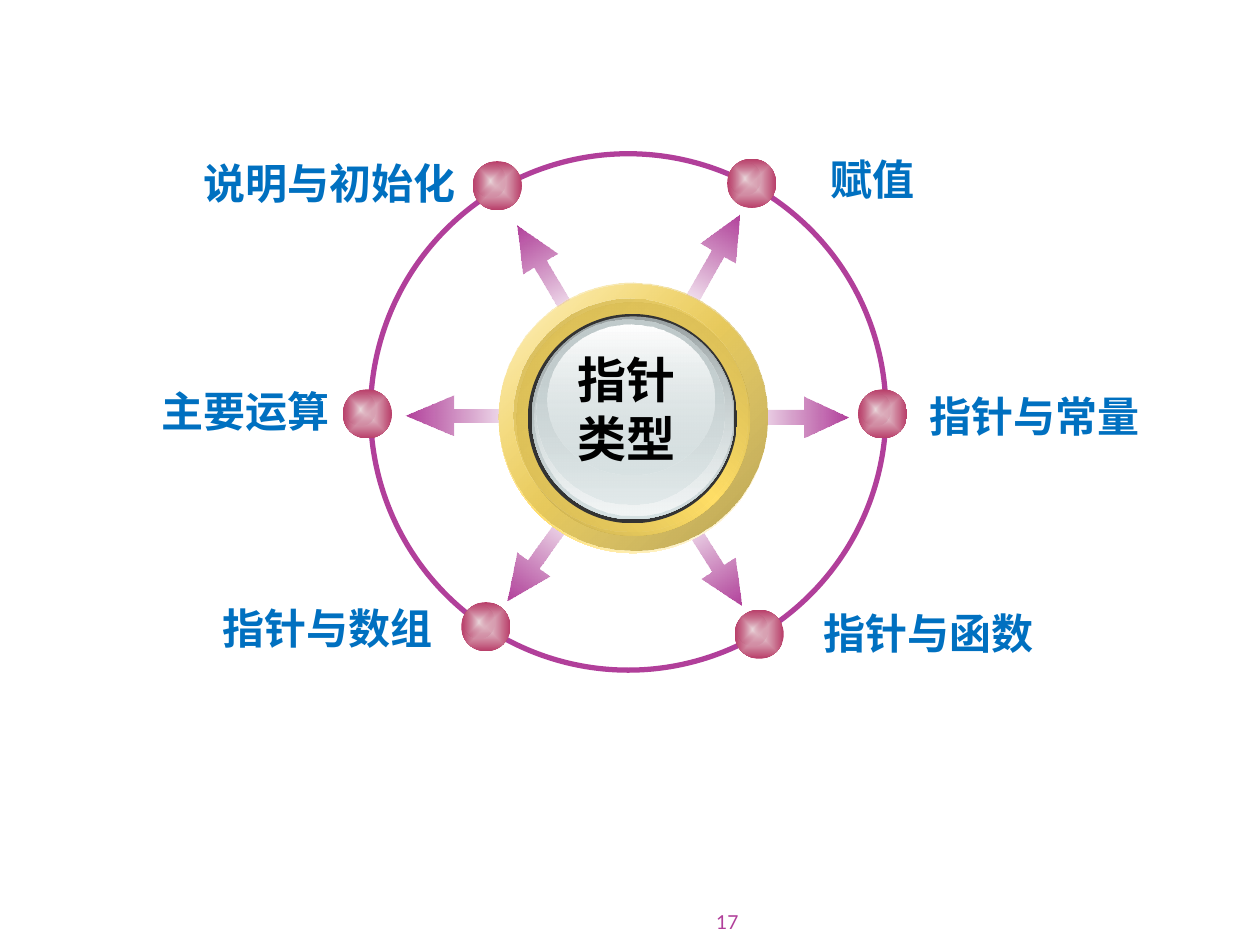
from lxml import etree
from pptx import Presentation
from pptx.dml.color import RGBColor
from pptx.enum.shapes import MSO_SHAPE
from pptx.enum.text import MSO_ANCHOR, PP_ALIGN
from pptx.oxml import parse_xml
from pptx.oxml.ns import nsdecls, qn
from pptx.util import Cm, Pt

OVAL, ARROW = MSO_SHAPE.OVAL, MSO_SHAPE.RIGHT_ARROW
CENTER, RIGHT = PP_ALIGN.CENTER, PP_ALIGN.RIGHT
TOP, BOTTOM = MSO_ANCHOR.TOP, MSO_ANCHOR.BOTTOM
CHINESE, LATIN = "Noto Sans CJK SC", "Lato"
PURPLE, ROSE, BLUSH, BLUE = "B13F9A", "B83D68", "EAD7DB", "0070C0"
GOLD, OLIVE, SILVER, WHITE = "FFDE66", "C3AA4E", "D6E1E2", "FFFFFF"

WHEEL = (7.47, 3.1, 10.39, 10.41)
DIAL = (2.59, 2.59, 5.41, 5.41)
PAGE_NUMBER = (10.29, 18.01, 4.6, 0.81)
BEAD, ARROW_LENGTH, ARROW_WIDTH = 0.99, 2.21, 0.81

# label, label corner, bead corner, arrow centre, arrow angle, extra arrow length
SPOKES = [
    ("赋值", (8.97, -0.13), (7.19, 0.1), (6.89, 2.18), 299.6, 0),
    ("指针与函数", (8.81, 9.02), (7.34, 9.19), (6.89, 8.18), 57.8, 0),
    ("说明与初始化", (-3.68, -0.05), (2.06, 0.15), (3.52, 2.39), 239.5, 0),
    ("指针与数组", (-3.3, 8.92), (1.83, 9.04), (3.41, 8.1), 125.6, 0),
    ("指针与常量", (10.95, 4.65), (9.83, 4.75), (8.52, 5.31), 0, 0),
    ("主要运算", (-4.52, 4.55), (-0.56, 4.75), (1.9, 5.28), 180, 0.18),
]

# left, top, width, height, gradient stops (position, colour, opacity), angle
RINGS = [
    (0, 0.05, 5.41, 5.41, [(0, WHITE, 100), (50, GOLD, 100), (100, WHITE, 100)], 45),
    (0, 0, 5.41, 5.41, [(0, GOLD, 32), (100, "B69F49", 100)], 45),
    (0.36, 0.41, 4.7, 4.7, [(0, OLIVE, 100), (50, GOLD, 100), (100, OLIVE, 100)], 315),
    (0.3, 0.33, 4.7, 4.7, [(0, "D1B654", 100), (100, GOLD, 0)], 45),
    (0.58, 0.64, 4.22, 4.22, [(0, "333333", 100), (100, "333333", 100)], 0),
    (0.66, 0.69, 4.09, 4.09, [(0, "99A1A2", 100), (100, SILVER, 100)], 90),
    (0.71, 0.71, 3.99, 3.99, [(0, SILVER, 0), (100, "F2F5F5", 100)], 90),
    (0.76, 0.76, 3.78, 3.73, [(0, "C1CBCC", 100), (100, SILVER, 48)], 90),
    (0.97, 0.86, 3.38, 3.02, [(0, WHITE, 100), (100, SILVER, 38)], 90),
]


def color(text):
    """Turn a hex string into a colour."""
    return RGBColor.from_string(text)


def inside(box, left, top, width, height):
    """Place a part relative to the corner of its box."""
    return box[0] + left, box[1] + top, width, height


def add_plain(page, kind, box):
    """Add a preset shape without fill, line or shadow."""
    shape = page.shapes.add_shape(kind, *map(Cm, box))
    shape.shadow.inherit = False
    shape.fill.background()
    shape.line.fill.background()
    return shape


def set_gradient(shape, stops, angle=None):
    """Fill a shape with a linear gradient, or from its centre if no angle is given."""
    marks = "".join(
        f'<a:gs pos="{position * 1000}"><a:srgbClr val="{tone}">'
        f'<a:alpha val="{opacity * 1000}"/></a:srgbClr></a:gs>'
        for position, tone, opacity in stops)
    if angle is None:
        course = ('<a:path path="shape"><a:fillToRect l="50000" t="50000" '
                  'r="50000" b="50000"/></a:path>')
    else:
        course = f'<a:lin ang="{angle * 60000}" scaled="1"/>'
    gradient = parse_xml(f'<a:gradFill {nsdecls("a")} rotWithShape="1">'
                         f'<a:gsLst>{marks}</a:gsLst>{course}</a:gradFill>')
    properties = shape.element.spPr
    properties.replace(properties.find(qn("a:noFill")), gradient)


def add_text(page, box, lines, size, tone, align, font=CHINESE, bold=True,
             anchor=TOP, wrap=False):
    """Add a text box with one paragraph for each line."""
    frame = page.shapes.add_textbox(*map(Cm, box)).text_frame
    frame.word_wrap = wrap
    frame.vertical_anchor = anchor
    frame.text = "\n".join(lines)
    for para in frame.paragraphs:
        para.alignment = align
        para.font.size = Pt(size)
        para.font.bold = bold
        para.font.color.rgb = color(tone)
        para.font.name = font
        defaults = para._p.pPr.find(qn("a:defRPr"))
        etree.SubElement(defaults, qn("a:ea")).set("typeface", font)
    return frame


def add_arrow(page, wheel, center, angle, extra):
    """Add an arrow that fades in towards its tip."""
    length = ARROW_LENGTH + extra
    arrow = add_plain(page, ARROW, inside(
        wheel, center[0] - length / 2, center[1] - ARROW_WIDTH / 2, length, ARROW_WIDTH))
    arrow.adjustments[0] = 0.35
    arrow.adjustments[1] = 1.11 * length / ARROW_LENGTH
    arrow.rotation = angle
    set_gradient(arrow, [(0, "A83C92", 0), (100, PURPLE, 100)], 0)


def add_bead(page, box):
    """Add a glossy bead with a highlight at its upper left."""
    set_gradient(add_plain(page, OVAL, box), [(0, BLUSH, 100), (100, ROSE, 100)])
    glint = add_plain(page, OVAL, inside(box, 0.05, 0.08, 0.61, 0.64))
    set_gradient(glint, [(0, BLUSH, 100), (100, ROSE, 0)])


def add_dial(page, box):
    """Add the golden dial with the topic in its middle."""
    for left, top, width, height, stops, angle in RINGS:
        ring = add_plain(page, OVAL, inside(box, left, top, width, height))
        set_gradient(ring, stops, angle)
    add_text(page, inside(box, 1.32, 1.24, 2.51, 2.64), ["指针", "类型"], 28, "000000", CENTER)


def add_wheel(page, box):
    """Add the arrows, rim, beads, dial and labels of the wheel."""
    for _, _, _, center, angle, extra in SPOKES:
        add_arrow(page, box, center, angle, extra)
    rim = add_plain(page, OVAL, box)
    rim.line.color.rgb = color(PURPLE)
    rim.line.width = Pt(3)
    for _, _, bead, _, _, _ in SPOKES:
        add_bead(page, inside(box, *bead, BEAD, BEAD))
    add_dial(page, inside(box, *DIAL))
    for label, corner, _, _, _, _ in SPOKES:
        width = 0.85 * len(label) + 0.55
        add_text(page, inside(box, *corner, width, 1.28), [label], 24, BLUE, RIGHT)


def add_page_number(page, box):
    """Add the page number at the foot of the slide."""
    frame = add_text(page, box, ["17"], 11, PURPLE, RIGHT, LATIN, False, BOTTOM, True)
    frame.margin_left = frame.margin_right = frame.margin_top = frame.margin_bottom = 0


def main():
    """Build the deck and save it."""
    deck = Presentation()
    deck.slide_width, deck.slide_height = Cm(25.4), Cm(19.05)
    page = deck.slides.add_slide(deck.slide_layouts[6])
    add_wheel(page, WHEEL)
    add_page_number(page, PAGE_NUMBER)
    deck.save("out.pptx")


if __name__ == "__main__":
    main()
